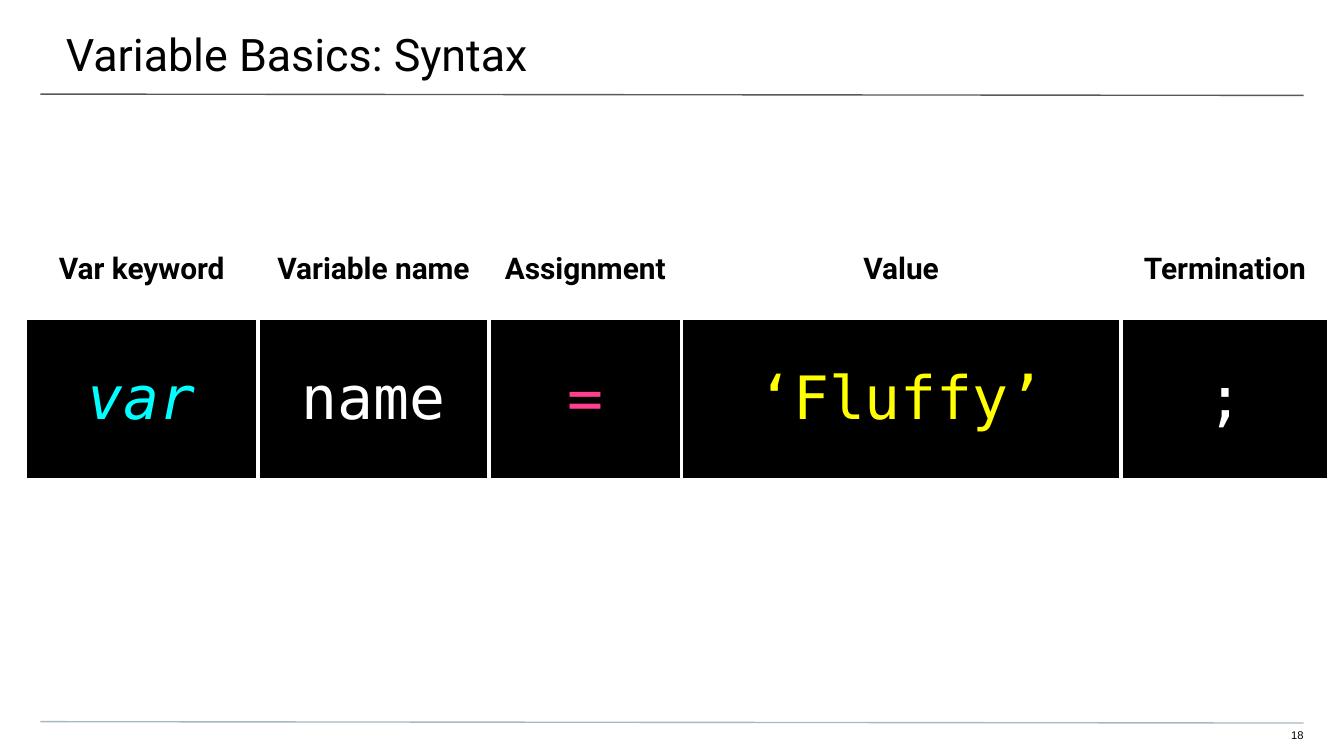
from dataclasses import dataclass

from lxml import etree
from pptx import Presentation
from pptx import util as u
from pptx.dml.color import RGBColor
from pptx.enum import shapes, text
from pptx.oxml.ns import qn


@dataclass(frozen=True)
class Theme:
    black: str = "000000"
    white: str = "FFFFFF"
    cyan: str = "00FFFF"
    pink: str = "FF408F"
    yellow: str = "FFFF00"
    title_rule: str = "595959"
    foot_rule: str = "A9B7C0"
    sans: str = "Roboto"
    mono: str = "DejaVu Sans Mono"
    small: str = "Arial"
    title_size: float = 24
    label_size: float = 16
    code_size: float = 32
    number_size: float = 6
    rule_width: float = 0.75
    border_width: float = 2.25


@dataclass(frozen=True)
class SyntaxPart:
    label: str
    code: str
    color: str
    width: float  # inches
    italic: bool = False


T = Theme()
WIDTH = 10
HEIGHT = WIDTH * 9 / 16
MARGIN = 0.03 * WIDTH
ROW_HEIGHTS = (0.73, 1.2)
PARTS = (
    SyntaxPart("Var keyword", "var", T.cyan, 1.73, italic=True),
    SyntaxPart("Variable name", "name", T.white, 1.72),
    SyntaxPart("Assignment", "=", T.pink, 1.43),
    SyntaxPart("Value", "‘Fluffy’", T.yellow, 3.27),
    SyntaxPart("Termination", ";", T.white, 1.55),
)


def write(p, words: str, face: str, size: float, color: str, align,
          bold: bool = False, italic: bool = False) -> None:
    p.text = words
    p.alignment = align
    f = p.font
    f.name, f.size, f.bold, f.italic = face, u.Pt(size), bold, italic
    f.color.rgb = RGBColor.from_string(color)


def set_frame(tf, left: float, top: float, right: float, bottom: float) -> None:
    tf.margin_left, tf.margin_top = u.Inches(left), u.Inches(top)
    tf.margin_right, tf.margin_bottom = u.Inches(right), u.Inches(bottom)
    tf.word_wrap = True
    tf.auto_size = text.MSO_AUTO_SIZE.NONE
    tf.vertical_anchor = text.MSO_ANCHOR.TOP


def draw_rule(s, y: float, color: str) -> None:
    """Draw a margin-to-margin rule that drops very slightly."""
    line = s.shapes.add_connector(
        shapes.MSO_CONNECTOR.STRAIGHT, u.Inches(MARGIN), u.Inches(y),
        u.Inches(WIDTH - MARGIN), u.Inches(y + 0.01))
    line.line.color.rgb = RGBColor.from_string(color)
    line.line.width = u.Pt(T.rule_width)
    etree.SubElement(line._element.spPr, qn("a:effectLst"))


def style_cell(cell, fill: str) -> None:
    tc_pr = cell._tc.get_or_add_tcPr()
    for side in ("lnL", "lnR", "lnT", "lnB"):
        ln = etree.SubElement(tc_pr, qn(f"a:{side}"), w=str(u.Pt(T.border_width)))
        solid = etree.SubElement(ln, qn("a:solidFill"))
        etree.SubElement(solid, qn("a:srgbClr"), val=T.white)
    cell.fill.solid()
    cell.fill.fore_color.rgb = RGBColor.from_string(fill)
    cell.vertical_anchor = text.MSO_ANCHOR.MIDDLE
    cell.margin_left = cell.margin_right = u.Inches(0.1)
    cell.margin_top = cell.margin_bottom = 0


def draw_syntax_table(s, left: float, top: float) -> None:
    table = s.shapes.add_table(
        len(ROW_HEIGHTS), len(PARTS), u.Inches(left), u.Inches(top),
        u.Inches(sum(part.width for part in PARTS)),
        u.Inches(sum(ROW_HEIGHTS))).table
    table.first_row = table.horz_banding = False
    for row, height in zip(table.rows, ROW_HEIGHTS):
        row.height = u.Inches(height)
    for i, part in enumerate(PARTS):
        table.columns[i].width = u.Inches(part.width)
        label, code = table.cell(0, i), table.cell(1, i)
        style_cell(label, T.white)
        style_cell(code, T.black)
        write(label.text_frame.paragraphs[0], part.label, T.sans, T.label_size,
              T.black, text.PP_ALIGN.CENTER, bold=True)
        write(code.text_frame.paragraphs[0], part.code, T.mono, T.code_size,
              part.color, text.PP_ALIGN.CENTER, italic=part.italic)


def main() -> None:
    prs = Presentation()
    prs.slide_width, prs.slide_height = u.Inches(WIDTH), u.Inches(HEIGHT)
    s = prs.slides.add_slide(prs.slide_layouts[5])

    # Rules under the title and above the footer
    draw_rule(s, 0.7, T.title_rule)
    draw_rule(s, 5.37, T.foot_rule)

    # Title
    title = s.shapes.title
    title.left, title.top = u.Inches(-0.01), 0
    title.width, title.height = u.Inches(10.03), u.Inches(0.58)
    set_frame(title.text_frame, 0.5, 0.2, 0.3, 0.1)
    write(title.text_frame.paragraphs[0], "Variable Basics: Syntax", T.sans,
          T.title_size, T.black, text.PP_ALIGN.LEFT)

    # Slide number
    number = s.shapes.add_textbox(
        u.Inches(9.41), u.Inches(5.42), u.Inches(0.29), u.Inches(0.12))
    set_frame(number.text_frame, 0, 0, 0, 0.1)
    write(number.text_frame.paragraphs[0], "18", T.small, T.number_size,
          T.black, text.PP_ALIGN.RIGHT)

    # Parts of a variable statement
    draw_syntax_table(s, 0.19, 1.64)

    prs.save("out.pptx")


if __name__ == "__main__":
    main()
